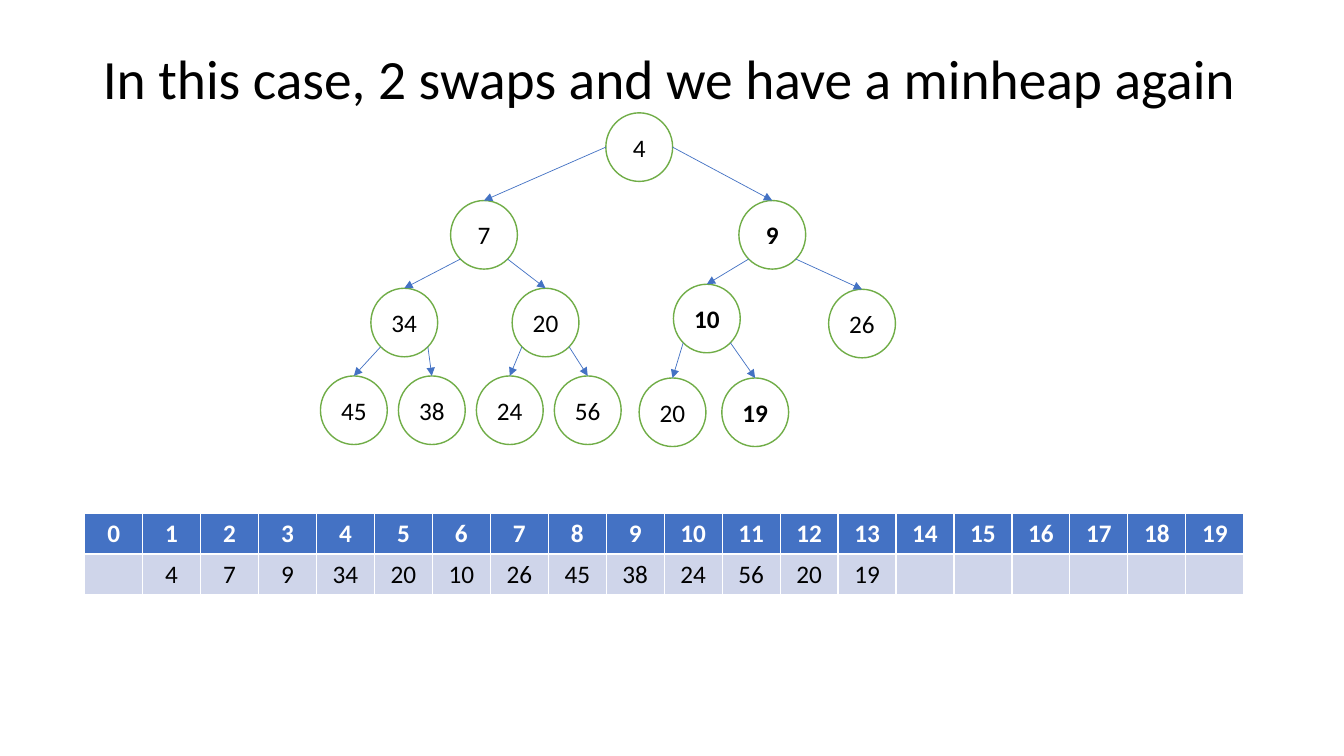
from dataclasses import dataclass
from math import sqrt
from typing import Any

from lxml.etree import SubElement
from pptx import Presentation
from pptx.dml.color import RGBColor
from pptx.enum.shapes import MSO_CONNECTOR, MSO_SHAPE
from pptx.enum.text import MSO_ANCHOR, MSO_AUTO_SIZE, PP_ALIGN
from pptx.oxml.ns import qn
from pptx.util import Inches, Pt

SLIDE_WIDTH, SLIDE_HEIGHT = Inches(13.33), Inches(7.5)
GRID = 100
NODE_WIDTH, NODE_HEIGHT = 4.97, 9.07
ROOT_TOP, LEVEL_STEP = 14.93, 11.6
TABLE_LEFT, TABLE_TOP, TABLE_WIDTH, TABLE_ROW = 6.3, 67.87, 86.27, 5.4
TABLE_SLOTS = 20
BLACK, WHITE, BLUE, PALE_BLUE, GREEN = "000000", "FFFFFF", "4472C4", "CFD5EA", "70AD47"


@dataclass(frozen=True)
class HeapNode:
    value: int
    center: float
    shift: float = 0
    bold: bool = False


HEAP = [
    HeapNode(4, 47.56),
    HeapNode(7, 36.01),
    HeapNode(9, 57.46, bold=True),
    HeapNode(34, 30.08),
    HeapNode(20, 40.59),
    HeapNode(10, 52.59, -0.53, True),
    HeapNode(26, 64.14, 0.14),
    HeapNode(45, 26.33),
    HeapNode(38, 32.13),
    HeapNode(24, 37.93),
    HeapNode(56, 43.73),
    HeapNode(20, 50.04, 0.27),
    HeapNode(19, 56.19, 0.27, True),
]


def columns(count: float) -> int:
    return round(SLIDE_WIDTH * count / GRID)


def rows(count: float) -> int:
    return round(SLIDE_HEIGHT * count / GRID)


def color(value: str) -> RGBColor:
    return RGBColor.from_string(value)


def apply(target: Any, formats: dict[str, Any]) -> None:
    for name, value in formats.items():
        setattr(target, name, value)


def write(frame: Any, text: str, ink: str = BLACK, size: float = 18,
          bold: bool = False, align: Any = PP_ALIGN.CENTER) -> None:
    paragraph = frame.paragraphs[0]
    paragraph.alignment = align
    run = paragraph.add_run()
    run.text = text
    apply(run.font, {"name": "Calibri", "size": Pt(size), "bold": bold})
    run.font.color.rgb = color(ink)


def set_line(line: Any, ink: str, width: float) -> None:
    line.color.rgb = color(ink)
    line.width = Pt(width)


def add_title(slide: Any, text: str) -> None:
    title = slide.shapes.title
    apply(title, {"left": columns(6.9), "top": rows(2),
                  "width": columns(86.27), "height": rows(17.47)})
    apply(title.text_frame, {"auto_size": MSO_AUTO_SIZE.NONE, "word_wrap": True,
                             "vertical_anchor": MSO_ANCHOR.MIDDLE})
    write(title.text_frame, text, size=39.6, align=PP_ALIGN.LEFT)
    title.text_frame.paragraphs[0].line_spacing = 0.9


def add_node(group: Any, index: int, node: HeapNode) -> Any:
    level = index.bit_length() - 1
    shape = group.shapes.add_shape(
        MSO_SHAPE.FLOWCHART_CONNECTOR,
        columns(node.center - NODE_WIDTH / 2),
        rows(ROOT_TOP + level * LEVEL_STEP + node.shift),
        columns(NODE_WIDTH), rows(NODE_HEIGHT))
    shape.shadow.inherit = False
    shape.fill.solid()
    shape.fill.fore_color.rgb = color(WHITE)
    set_line(shape.line, GREEN, 1)
    apply(shape.text_frame, {"vertical_anchor": MSO_ANCHOR.MIDDLE, "word_wrap": True,
                             "margin_left": 0, "margin_right": 0})
    write(shape.text_frame, str(node.value), bold=node.bold)
    return shape


def add_edge(group: Any, parent: Any, child: Any, side: int, from_root: bool) -> None:
    across, down = (0.5, 0) if from_root else (sqrt(2) / 4, sqrt(2) / 4)
    edge = group.shapes.add_connector(
        MSO_CONNECTOR.STRAIGHT,
        round(parent.left + parent.width * (0.5 + side * across)),
        round(parent.top + parent.height * (0.5 + down)),
        child.left + child.width // 2, child.top)
    edge.end_connect(child, 0)
    set_line(edge.line, BLUE, 0.5)
    properties = edge._element.spPr
    SubElement(properties.find(qn("a:ln")), qn("a:tailEnd"), type="triangle")
    SubElement(properties, qn("a:effectLst"))


def add_heap(slide: Any) -> None:
    group = slide.shapes.add_group_shape()
    shapes = {index: add_node(group, index, node) for index, node in enumerate(HEAP, 1)}
    for index in range(2, len(HEAP) + 1):
        parent = index // 2
        add_edge(group, shapes[parent], shapes[index], 1 if index % 2 else -1, parent == 1)


def add_array(slide: Any) -> None:
    table = slide.shapes.add_table(
        2, TABLE_SLOTS, columns(TABLE_LEFT), rows(TABLE_TOP),
        columns(TABLE_WIDTH), rows(2 * TABLE_ROW)).table
    values = {index: str(node.value) for index, node in enumerate(HEAP, 1)}
    for slot in range(TABLE_SLOTS):
        entries = ((str(slot), BLUE, WHITE, True), (values.get(slot, ""), PALE_BLUE, BLACK, False))
        for row, (text, background, ink, bold) in enumerate(entries):
            cell = table.cell(row, slot)
            cell.fill.solid()
            cell.fill.fore_color.rgb = color(background)
            if text:
                write(cell.text_frame, text, ink, bold=bold)


def main() -> None:
    presentation = Presentation()
    apply(presentation, {"slide_width": SLIDE_WIDTH, "slide_height": SLIDE_HEIGHT})
    slide = presentation.slides.add_slide(presentation.slide_layouts[5])
    add_title(slide, "In this case, 2 swaps and we have a minheap again")
    add_array(slide)
    add_heap(slide)
    presentation.save("out.pptx")


main()
